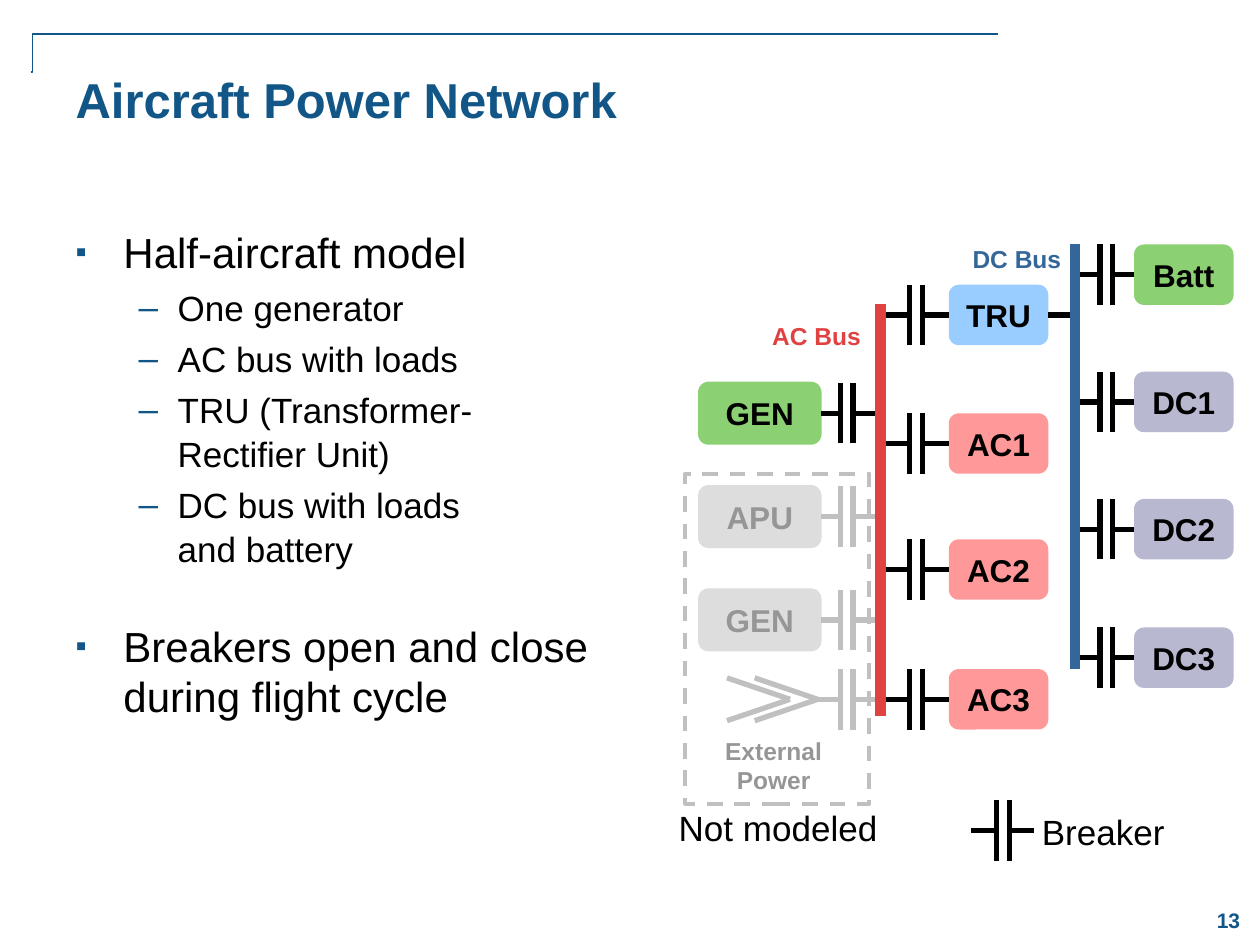
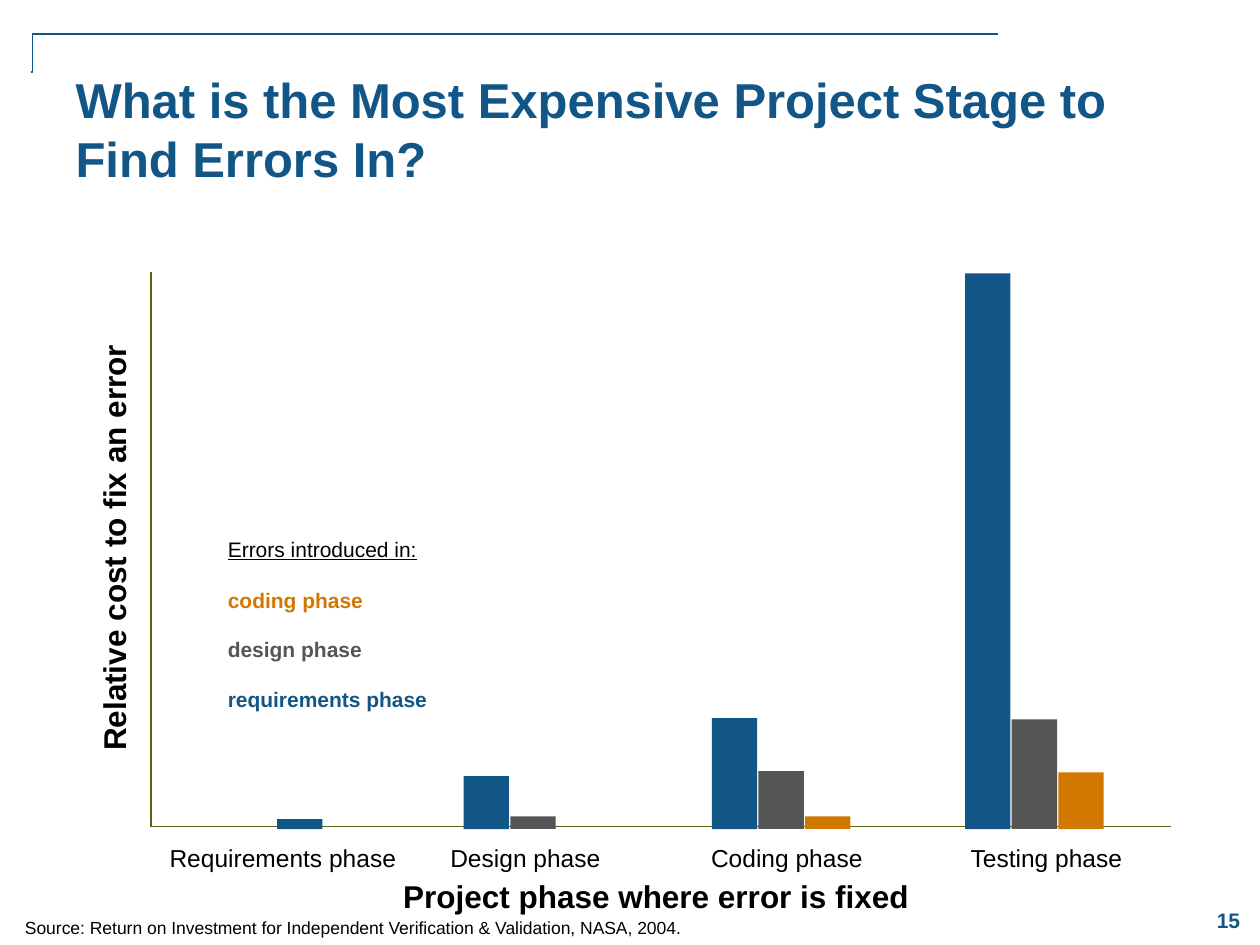
"""Build two slides: an aircraft power network and the cost of fixing errors by phase."""

from dataclasses import dataclass
from typing import Optional

from lxml.etree import SubElement
from pptx import Presentation
from pptx.dml.color import RGBColor
from pptx.enum.dml import MSO_LINE
from pptx.enum.shapes import MSO_CONNECTOR, MSO_SHAPE
from pptx.enum.text import MSO_ANCHOR, MSO_AUTO_SIZE, PP_ALIGN
from pptx.oxml.ns import qn
from pptx.shapes.autoshape import Shape
from pptx.shapes.connector import Connector
from pptx.slide import Slide
from pptx.util import Emu, Pt

EMU_PER_PX = 9144
FONT = "Arial"
NAVY, BLACK, GREY = "125687", "000000", "555555"
ORANGE, AXIS = "D27800", "596615"
RED, BLUE = "E04242", "336699"
GREEN, PINK, LILAC, SKY = "8BD072", "FF9999", "B8B8D0", "9ACDFF"
FADED_LINE, FADED_FILL, FADED_TEXT = "C0C0C0", "DDDDDD", "969696"
LEFT_SIDE, RIGHT_SIDE = 1, 3
AC_BUS, DC_BUS = 699, 853
BASELINE, BAR_WIDTH, BAR_STEP = 658, 36, 37


@dataclass(frozen=True)
class TextStyle:
    size: int
    color: str = BLACK
    bold: bool = False
    underline: bool = False


@dataclass(frozen=True)
class Frame:
    left: int
    top: int
    width: int
    height: int


@dataclass(frozen=True)
class Bullet:
    text: str
    level: int = 0
    space_before: int = 4


@dataclass(frozen=True)
class BulletStyle:
    character: str
    percent: int
    margin: int
    hanging: int
    line_spacing: float
    size: int


@dataclass(frozen=True)
class Unit:
    name: str
    middle: int
    fill: str


@dataclass(frozen=True)
class Phase:
    name: str
    label_left: int
    label_width: int
    bars_left: int
    bar_tops: tuple[int, ...]


@dataclass(frozen=True)
class Series:
    name: str
    color: str
    label_top: int


BULLET_STYLES = (
    BulletStyle("▪", 75, 38, 38, 1.0, 24),
    BulletStyle("–", 100, 81, 31, 1.05, 20),
)
BULLETS = (
    Bullet("Half-aircraft model", space_before=0),
    Bullet("One generator", 1),
    Bullet("AC bus with loads", 1),
    Bullet("TRU (Transformer-\nRectifier Unit)", 1),
    Bullet("DC bus with loads\nand battery", 1),
    Bullet("Breakers open and close\nduring flight cycle", space_before=29),
)
AC_UNITS = (
    Unit("AC3", 555, PINK),
    Unit("AC2", 452, PINK),
    Unit("AC1", 352, PINK),
    Unit("TRU", 250, SKY),
)
DC_UNITS = (
    Unit("DC3", 522, LILAC),
    Unit("DC2", 420, LILAC),
    Unit("DC1", 319, LILAC),
    Unit("Batt", 218, GREEN),
)
UNMODELED_SOURCES = (Unit("APU", 410, FADED_FILL), Unit("GEN", 492, FADED_FILL))
SERIES = (
    Series("requirements phase", NAVY, 540),
    Series("design phase", GREY, 500),
    Series("coding phase", ORANGE, 461),
)
PHASES = (
    Phase("Requirements phase", 134, 181, 220, (650,)),
    Phase("Design phase", 357, 120, 368, (616, 648)),
    Phase("Coding phase", 564, 121, 565, (570, 612, 648)),
    Phase("Testing phase", 770, 121, 766, (217, 571, 613)),
)


def px(length: int) -> Emu:
    return Emu(length * EMU_PER_PX)


def rgb(color: str) -> RGBColor:
    return RGBColor.from_string(color)


def place(frame: Frame) -> tuple[Emu, Emu, Emu, Emu]:
    return px(frame.left), px(frame.top), px(frame.width), px(frame.height)


def move(shape: Shape, frame: Frame) -> None:
    shape.left, shape.top, shape.width, shape.height = place(frame)
    shape.text_frame.auto_size = MSO_AUTO_SIZE.NONE
    shape.text_frame.vertical_anchor = MSO_ANCHOR.TOP


def write(paragraph, text: str, style: TextStyle, alignment=PP_ALIGN.LEFT) -> None:
    paragraph.alignment = alignment
    for index, line in enumerate(text.split("\n")):
        if index:
            paragraph.add_line_break()
        run = paragraph.add_run()
        run.text = line
        run.font.name = FONT
        run.font.size = Pt(style.size)
        run.font.bold = style.bold
        run.font.underline = style.underline
        run.font.color.rgb = rgb(style.color)


def set_margins(shape: Shape, horizontal: int, vertical: int) -> None:
    text_frame = shape.text_frame
    text_frame.margin_left = text_frame.margin_right = px(horizontal)
    text_frame.margin_top = text_frame.margin_bottom = px(vertical)


def add_label(slide: Slide, frame: Frame, text: str, style: TextStyle,
              alignment=PP_ALIGN.LEFT, wrap: bool = False, inset: bool = True) -> Shape:
    label = slide.shapes.add_textbox(*place(frame))
    label.text_frame.word_wrap = wrap
    if not wrap:
        label.text_frame.auto_size = MSO_AUTO_SIZE.SHAPE_TO_FIT_TEXT
    if not inset:
        set_margins(label, 0, 0)
    write(label.text_frame.paragraphs[0], text, style, alignment)
    return label


def add_line(slide: Slide, start: tuple[int, int], end: tuple[int, int], color: str,
             width: float = 3, kind=MSO_CONNECTOR.STRAIGHT) -> Connector:
    line = slide.shapes.add_connector(kind, *map(px, start + end))
    line.line.color.rgb = rgb(color)
    line.line.width = Pt(width)
    SubElement(line._element.spPr, qn("a:effectLst"))
    return line


def add_block(slide: Slide, frame: Frame, fill: Optional[str], kind=MSO_SHAPE.RECTANGLE) -> Shape:
    block = slide.shapes.add_shape(kind, *place(frame))
    block.shadow.inherit = False
    block.line.fill.background()
    if fill:
        block.fill.solid()
        block.fill.fore_color.rgb = rgb(fill)
    else:
        block.fill.background()
    return block


def add_unit(slide: Slide, unit: Unit, left: int, width: int, height: int,
             color: str = BLACK) -> Shape:
    frame = Frame(left, unit.middle - height // 2, width, height)
    box = add_block(slide, frame, unit.fill, MSO_SHAPE.ROUNDED_RECTANGLE)
    set_margins(box, 4, 5)
    box.text_frame.vertical_anchor = MSO_ANCHOR.MIDDLE
    write(box.text_frame.paragraphs[0], unit.name, TextStyle(18, color, True), PP_ALIGN.CENTER)
    return box


def add_breaker(slide: Slide, left: int, middle: int, color: str = BLACK,
                source: Optional[Shape] = None, target: Optional[Shape] = None) -> None:
    first_plate, second_plate = left + 20, left + 30
    lead_in = add_line(slide, (left, middle), (first_plate, middle), color)
    lead_out = add_line(slide, (second_plate, middle), (left + 50, middle), color)
    for plate in (first_plate, second_plate):
        add_line(slide, (plate, middle + 24), (plate, middle - 24), color)
    if source is not None:
        lead_in.begin_connect(source, RIGHT_SIDE)
    if target is not None:
        lead_out.end_connect(target, LEFT_SIDE)


def add_source(slide: Slide, unit: Unit, line_color: str, text_color: str) -> None:
    box = add_unit(slide, unit, 554, 98, 50, text_color)
    add_breaker(slide, 647, unit.middle, line_color, source=box)


def add_load(slide: Slide, unit: Unit, bus: int, breaker_left: int, left: int) -> Shape:
    box = add_unit(slide, unit, left, 79, 48)
    add_breaker(slide, breaker_left, unit.middle, target=box)
    return box


def start_slide(presentation, layout: int, title: str, number: str) -> Slide:
    slide = presentation.slides.add_slide(presentation.slide_layouts[layout])
    move(slide.shapes.title, Frame(50, 50, 883, 108))
    write(slide.shapes.title.text_frame.paragraphs[0], title, TextStyle(28, NAVY, True))
    corner = add_line(slide, (792, 27), (25, 57), NAVY, 1, MSO_CONNECTOR.ELBOW)
    adjustments = corner._element.spPr.find(qn("a:prstGeom")).get_or_add_avLst()
    SubElement(adjustments, qn("a:gd"), name="adj1", fmla="val 99900")
    page = add_label(slide, Frame(950, 709, 50, 42), number, TextStyle(12, NAVY, True),
                     PP_ALIGN.CENTER, wrap=True)
    page.text_frame.vertical_anchor = MSO_ANCHOR.MIDDLE
    return slide


def fill_bullets(body: Shape) -> None:
    move(body, Frame(50, 175, 883, 508))
    for index, bullet in enumerate(BULLETS):
        text_frame = body.text_frame
        paragraph = text_frame.add_paragraph() if index else text_frame.paragraphs[0]
        style = BULLET_STYLES[bullet.level]
        paragraph.level = bullet.level
        properties = paragraph._p.get_or_add_pPr()
        properties.set("marL", str(px(style.margin)))
        properties.set("indent", str(-px(style.hanging)))
        SubElement(SubElement(properties, qn("a:buClr")), qn("a:srgbClr"), val=NAVY)
        SubElement(properties, qn("a:buSzPct"), val=str(style.percent * 1000))
        SubElement(properties, qn("a:buChar"), char=style.character)
        paragraph.line_spacing = style.line_spacing
        paragraph.space_before = Pt(bullet.space_before)
        write(paragraph, bullet.text, TextStyle(style.size))


def add_unmodeled_sources(slide: Slide) -> None:
    for unit in UNMODELED_SOURCES:
        add_source(slide, unit, FADED_LINE, FADED_TEXT)
    add_breaker(slide, 647, 555, FADED_LINE)
    for tip in (627, 649):
        for offset in (-17, 17):
            add_line(slide, (tip - 50, 555 + offset), (tip, 555), FADED_LINE)
    add_label(slide, Frame(565, 579, 98, 57), "External\nPower",
              TextStyle(14, FADED_TEXT, True), PP_ALIGN.CENTER)
    border = add_block(slide, Frame(544, 376, 146, 262), None)
    border.line.color.rgb = rgb(FADED_LINE)
    border.line.width = Pt(2.25)
    border.line.dash_style = MSO_LINE.DASH
    add_label(slide, Frame(528, 635, 179, 44), "Not modeled", TextStyle(20), PP_ALIGN.CENTER)


def build_network(presentation) -> None:
    slide = start_slide(presentation, 1, "Aircraft Power Network", "13")
    fill_bullets(slide.placeholders[1])
    add_breaker(slide, 771, 659)
    add_label(slide, Frame(817, 638, 118, 44), "Breaker", TextStyle(20))
    add_unmodeled_sources(slide)
    add_source(slide, Unit("GEN", 328, GREEN), BLACK, BLACK)
    ac_boxes = {unit.name: add_load(slide, unit, AC_BUS, 702, 753) for unit in AC_UNITS}
    for unit in DC_UNITS:
        add_load(slide, unit, DC_BUS, DC_BUS, 900)
    feed = add_line(slide, (832, 250), (DC_BUS, 250), BLACK)
    feed.begin_connect(ac_boxes["TRU"], RIGHT_SIDE)
    add_line(slide, (DC_BUS, 531), (DC_BUS, 194), BLUE, 6)
    add_line(slide, (AC_BUS, 568), (AC_BUS, 241), RED, 6)
    add_label(slide, Frame(603, 250, 91, 34), "AC Bus", TextStyle(14, RED, True))
    add_label(slide, Frame(762, 189, 91, 34), "DC Bus", TextStyle(14, BLUE, True))


def build_error_costs(presentation) -> None:
    title = "What is the Most Expensive Project Stage to Find Errors In?"
    slide = start_slide(presentation, 5, title, "15")
    add_line(slide, (120, 216), (120, 656), AXIS, 1)
    add_line(slide, (119, 656), (929, 656), AXIS, 1)
    for phase in PHASES:
        add_label(slide, Frame(phase.label_left, 669, phase.label_width, 24), phase.name,
                  TextStyle(14), PP_ALIGN.CENTER, inset=False)
        for index, (series, top) in enumerate(zip(SERIES, phase.bar_tops)):
            left = phase.bars_left + index * BAR_STEP
            add_block(slide, Frame(left, top, BAR_WIDTH, BASELINE - top), series.color)
    axis_style = TextStyle(18, bold=True)
    cost = add_label(slide, Frame(-76, 415, 332, 30), "Relative cost to fix an error",
                     axis_style, inset=False)
    cost.rotation = 270
    add_label(slide, Frame(320, 696, 405, 27), "Project phase where error is fixed",
              axis_style, inset=False)
    add_label(slide, Frame(171, 421, 280, 28), "Errors introduced in:",
              TextStyle(12, underline=True), wrap=True)
    for series in SERIES:
        add_label(slide, Frame(171, series.label_top, 280, 28), series.name,
                  TextStyle(12, series.color, True), wrap=True)
    source = "Source: Return on Investment for Independent Verification & Validation, NASA, 2004."
    add_label(slide, Frame(10, 723, 573, 27), source, TextStyle(10), wrap=True)


def main() -> None:
    presentation = Presentation()
    presentation.slide_width, presentation.slide_height = px(1000), px(750)
    build_network(presentation)
    build_error_costs(presentation)
    presentation.save("out.pptx")


if __name__ == "__main__":
    main()
